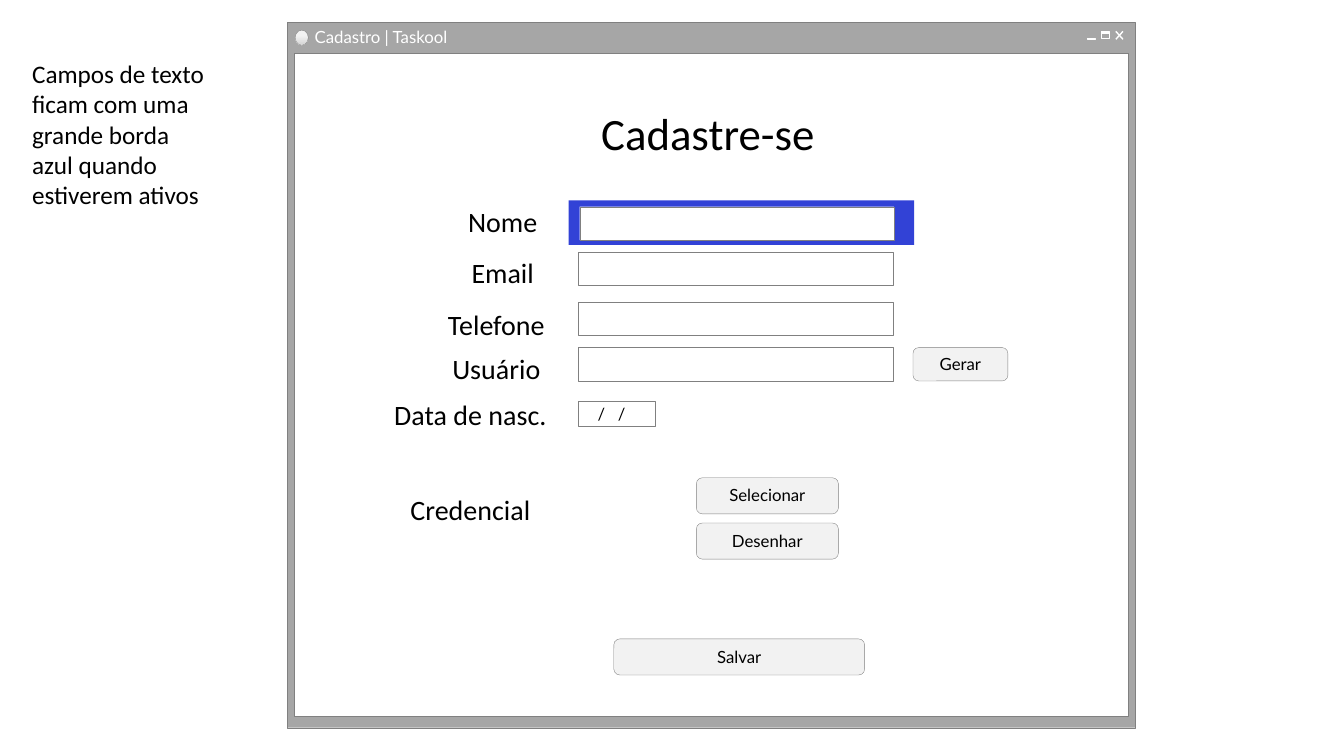
import copy

import pptx
import pptx.dml.color
import pptx.enum.shapes
import pptx.enum.text
import pptx.oxml
import pptx.oxml.ns
import pptx.util

Cm, Pt = pptx.util.Cm, pptx.util.Pt
RGB = pptx.dml.color.RGBColor.from_string
SHAPE = pptx.enum.shapes.MSO_SHAPE
ALIGN = pptx.enum.text.PP_ALIGN
MIDDLE = pptx.enum.text.MSO_ANCHOR.MIDDLE

COLORS = {
    "frame": "A6A6A6", "border": "808080", "white": "FFFFFF", "black": "000000",
    "button": "F2F2F2", "icon": "919191", "shade": "D9D9D9", "focus": "3242D6",
}
BUTTON_FRAME = {"vertical_anchor": MIDDLE, "margin_top": 0, "margin_bottom": Cm(0.03)}
DATE_FRAME = {"vertical_anchor": MIDDLE, "margin_left": Cm(0.13), "margin_right": 0,
              "margin_top": 0, "margin_bottom": 0}
TITLE_FRAME = {"vertical_anchor": MIDDLE, "margin_left": Cm(0.13),
               "margin_top": Cm(0.05), "margin_bottom": Cm(0.08), "word_wrap": False}

prs = pptx.Presentation()
prs.slide_width, prs.slide_height = Cm(33.87), Cm(19.05)
slide = prs.slides.add_slide(prs.slide_layouts[6])
shapes = slide.shapes


def add_box(box, fill="white", border="border", weight=0.25, kind=SHAPE.RECTANGLE):
    """Draw a flat shape; a fill or border of None is left empty."""
    shape = shapes.add_shape(kind, *map(Cm, box))
    shape.shadow.inherit = False
    for part, color in ((shape.fill, fill), (shape.line.fill, border)):
        if color:
            part.solid()
            part.fore_color.rgb = RGB(COLORS[color])
        else:
            part.background()
    if border:
        shape.line.width = Pt(weight)
    return shape


def write(shape, text, size, font="Calibri", color="black", align=ALIGN.CENTER, frame=None):
    for name, value in {"word_wrap": True, **(frame or {})}.items():
        setattr(shape.text_frame, name, value)
    paragraph = shape.text_frame.paragraphs[0]
    paragraph.alignment = align
    run = paragraph.add_run()
    run.text = text
    for name, value in {"size": Pt(size), "name": font}.items():
        setattr(run.font, name, value)
    run.font.color.rgb = RGB(COLORS[color])
    return paragraph


# Window with its title bar
add_box((7.24, 0.56, 21.36, 17.78), "frame")
add_box((7.42, 1.35, 21.01, 16.69))
window_title = shapes.add_textbox(Cm(7.8), Cm(0.61), Cm(3.81), Cm(0.69))
write(window_title, "Cadastro | Taskool", 12, "Lato", "white", ALIGN.LEFT, TITLE_FRAME)

for top, bottom in ((0.79, 0.99), (0.99, 0.79)):
    close_stroke = shapes.add_connector(
        pptx.enum.shapes.MSO_CONNECTOR.STRAIGHT, Cm(28.12), Cm(top), Cm(28.3), Cm(bottom))
    close_stroke.line.color.rgb = RGB(COLORS["white"])
    close_stroke.line.width = Pt(1)
    close_stroke._element.spPr.append(pptx.oxml.parse_xml(
        f'<a:effectLst {pptx.oxml.ns.nsdecls("a")}/>'))

add_box((27.76, 0.81, 0.2, 0.03), "icon", "white")
add_box((27.76, 0.79, 0.2, 0.18), None, "white", 1)
add_box((27.41, 0.97, 0.2, 0.03), "icon", "white")

app_icon = add_box((7.44, 0.76, 0.33, 0.38), kind=SHAPE.OVAL)
app_icon.fill.gradient()
app_icon.fill.gradient_angle = 270
stop_list = app_icon._element.spPr.find(".//" + pptx.oxml.ns.qn("a:gsLst"))
stop_list.append(copy.deepcopy(stop_list[-1]))
icon_stops = ((0.36, "button"), (0.91, "shade"), (1, "button"))
for stop, (position, color) in zip(app_icon.fill.gradient_stops, icon_stops):
    stop.position = position
    stop.color.rgb = RGB(COLORS[color])

# Headings, labels and the note beside the window
for text, left, top, width, height, size, align in (
    ("Cadastre-se", 12.19, 2.54, 11.3, 1.63, 32, ALIGN.CENTER),
    ("Nome", 11.3, 5.03, 2.74, 1.12, 20, ALIGN.CENTER),
    ("Email", 11.3, 6.32, 2.74, 1.12, 20, ALIGN.CENTER),
    ("Telefone", 10.95, 7.62, 3.12, 1.12, 20, ALIGN.CENTER),
    ("Usuário", 10.95, 8.74, 3.12, 1.12, 20, ALIGN.CENTER),
    ("Data de nasc.", 8.59, 9.88, 6.53, 1.12, 20, ALIGN.CENTER),
    ("Credencial", 8.59, 12.29, 6.53, 1.12, 20, ALIGN.CENTER),
    ("Campos de texto ficam com uma grande borda azul quando estiverem ativos",
     0.56, 1.35, 4.88, 4.11, 18, ALIGN.LEFT),
):
    label = shapes.add_textbox(Cm(left), Cm(top), Cm(width), Cm(height))
    write(label, text, size, align=align)

# Input fields, the first one active
add_box((14.33, 5.05, 8.71, 1.12), "focus", None)
for left, top in ((14.61, 5.21), (14.58, 6.35), (14.58, 7.62), (14.58, 8.76)):
    add_box((left, top, 7.92, 0.84))

birth_date = add_box((14.58, 10.11, 1.93, 0.64))
date_line = write(birth_date, "\t/\t/", 12, "Lato", align=ALIGN.LEFT, frame=DATE_FRAME)
slash_tabs = "".join(f'<a:tab pos="{Cm(stop)}" algn="l"/>' for stop in (0.35, 0.86))
date_line._p.get_or_add_pPr().append(pptx.oxml.parse_xml(
    f'<a:tabLst {pptx.oxml.ns.nsdecls("a")}>{slash_tabs}</a:tabLst>'))

# Buttons
for text, *box in (
    ("Gerar", 23.01, 8.76, 2.39, 0.84),
    ("Selecionar", 17.55, 12.04, 3.58, 0.91),
    ("Desenhar", 17.55, 13.18, 3.58, 0.91),
    ("Salvar", 15.47, 16.1, 6.32, 0.91),
):
    button = add_box(box, "button", kind=SHAPE.ROUNDED_RECTANGLE)
    write(button, text, 12, "Lato", frame=BUTTON_FRAME)

prs.save("out.pptx")
